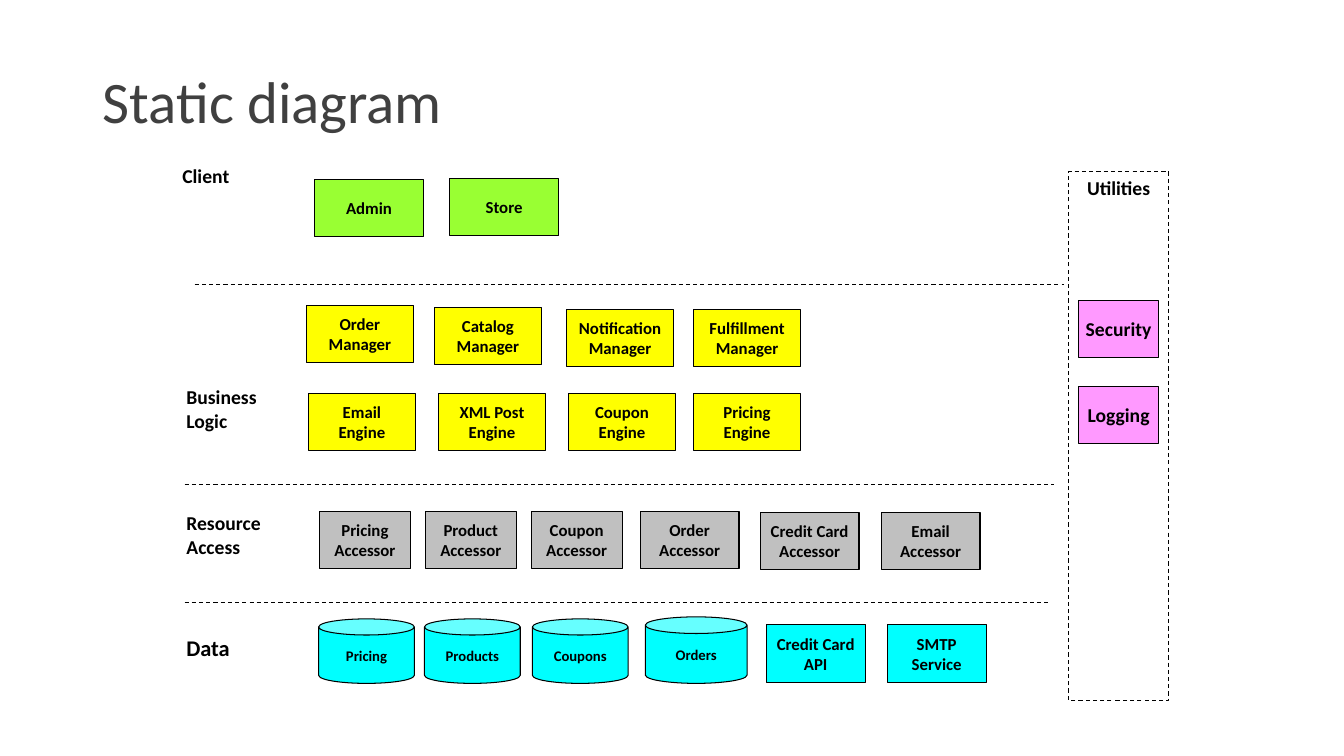
import pptx
import pptx.util
import pptx.dml.color
import pptx.enum.dml
import pptx.enum.shapes
import pptx.enum.text
from lxml import etree

Inches, Pt = pptx.util.Inches, pptx.util.Pt
PRESET = pptx.enum.shapes.MSO_SHAPE
ALIGN = pptx.enum.text.PP_ALIGN
ANCHOR = pptx.enum.text.MSO_ANCHOR

# Content: lengths in inches
FONT = "Calibri"
COLORS = {"title": "404040", "ink": "000000", "client": "99FF33", "logic": "FFFF00",
          "access": "C0C0C0", "data": "00FFFF", "utility": "FF99FF"}
TITLE = "Static diagram"
BOX_HEIGHT = 0.57

# Layer labels: text, left, top, width, height, size
LAYERS = [
    ("Client", 1.71, 1.58, 0.68, 0.34, 14),
    ("Business\vLogic", 1.75, 3.77, 0.91, 0.57, 14),
    ("Resource\vAccess", 1.75, 5.02, 0.95, 0.57, 14),
    ("Data", 1.75, 6.24, 0.64, 0.37, 16),
]
# Dividers between layers: left, right, y
DIVIDERS = [(1.93, 10.55, 2.82), (1.83, 10.45, 4.81), (1.83, 10.39, 5.98)]

# Rows of boxes: colour, width, [(text, left, top)]
BOX_ROWS = [
    ("client", 1.08, [("Admin", 3.12, 1.78), ("Store", 4.46, 1.77)]),
    ("logic", 1.06, [("Order\nManager", 3.04, 3.03), ("Catalog\nManager", 4.31, 3.05),
                     ("Notification Manager", 5.62, 3.07),
                     ("Fulfillment Manager", 6.88, 3.07)]),
    ("logic", 1.06, [("Email\nEngine", 3.06, 3.9), ("XML Post Engine", 4.35, 3.9),
                     ("Coupon Engine", 5.64, 3.9), ("Pricing\nEngine", 6.88, 3.9)]),
    ("access", 0.9, [("Pricing\nAccessor", 3.17, 5.07), ("Product\nAccessor", 4.22, 5.07),
                     ("Coupon\nAccessor", 5.27, 5.07)]),
    ("access", 0.98, [("Order Accessor", 6.35, 5.07), ("Credit Card Accessor", 7.54, 5.08),
                      ("Email Accessor", 8.74, 5.08)]),
    ("data", 0.98, [("Credit Card API", 7.6, 6.2), ("SMTP Service", 8.8, 6.2)]),
]
# Data stores: text, left, top, width, height
STORES = [("Pricing", 3.16, 6.14, 0.95, 0.64), ("Products", 4.21, 6.14, 0.95, 0.64),
          ("Coupons", 5.28, 6.14, 0.95, 0.64), ("Orders", 6.4, 6.12, 1.01, 0.66)]
UTILITIES_PANEL = (10.6, 1.7, 0.99, 5.25)
UTILITIES = ["Security", "Logging"]
UTILITY_LEFT, UTILITY_TOP, UTILITY_WIDTH, UTILITY_PITCH = 10.7, 2.98, 0.79, 0.85


def rgb(name):
    return pptx.dml.color.RGBColor.from_string(COLORS[name])


def write(shape, text, size, color="ink", bold=True, align=ALIGN.LEFT,
          anchor=ANCHOR.TOP, wrap=True):
    frame = shape.text_frame
    frame.text = text
    frame.word_wrap = wrap
    frame.vertical_anchor = anchor
    for paragraph in frame.paragraphs:
        paragraph.alignment = align
        paragraph.font.name = FONT
        paragraph.font.size = Pt(size)
        paragraph.font.bold = bold
        paragraph.font.color.rgb = rgb(color)


def outline(line, dashed=False):
    line.color.rgb = rgb("ink")
    line.width = Pt(0.75)
    if dashed:
        line.dash_style = pptx.enum.dml.MSO_LINE.DASH


def add_label(slide, text, place, size, **style):
    label = slide.shapes.add_textbox(*map(Inches, place))
    write(label, text, size, **style)


def add_block(slide, text, place, size, fill=None, preset=PRESET.RECTANGLE,
              anchor=ANCHOR.MIDDLE, wrap=True):
    block = slide.shapes.add_shape(preset, *map(Inches, place))
    block.shadow.inherit = False
    if fill:
        block.fill.solid()
        block.fill.fore_color.rgb = rgb(fill)
    else:
        block.fill.background()
    outline(block.line, dashed=fill is None)
    write(block, text, size, align=ALIGN.CENTER, anchor=anchor, wrap=wrap)
    block.text_frame.margin_left = block.text_frame.margin_right = Inches(0.09)


def add_divider(slide, left, right, y):
    divider = slide.shapes.add_connector(
        pptx.enum.shapes.MSO_CONNECTOR.STRAIGHT,
        Inches(left), Inches(y), Inches(right), Inches(y))
    outline(divider.line, dashed=True)
    etree.SubElement(divider.element.spPr, pptx.oxml.ns.qn("a:effectLst"))


def main():
    deck = pptx.Presentation()
    deck.slide_width, deck.slide_height = Inches(13.33), Inches(7.5)
    slide = deck.slides.add_slide(deck.slide_layouts[6])

    # Title
    add_label(slide, TITLE, (0.92, 0.4, 11.5, 1.18), 42, color="title", bold=False,
              anchor=ANCHOR.MIDDLE)

    # Layers and their dividers
    for divider in DIVIDERS:
        add_divider(slide, *divider)
    for text, *place, size in LAYERS:
        add_label(slide, text, place, size, wrap=False)

    # Components and data stores
    for color, width, boxes in BOX_ROWS:
        for text, left, top in boxes:
            add_block(slide, text, (left, top, width, BOX_HEIGHT), 12, color)
    for text, *place in STORES:
        add_block(slide, text, place, 10.5, "data", PRESET.CAN)

    # Utilities column
    add_block(slide, "Utilities", UTILITIES_PANEL, 14, anchor=ANCHOR.TOP, wrap=False)
    for row, text in enumerate(UTILITIES):
        place = (UTILITY_LEFT, UTILITY_TOP + row * UTILITY_PITCH, UTILITY_WIDTH, BOX_HEIGHT)
        add_block(slide, text, place, 14, "utility", wrap=False)

    deck.save("out.pptx")


if __name__ == "__main__":
    main()
